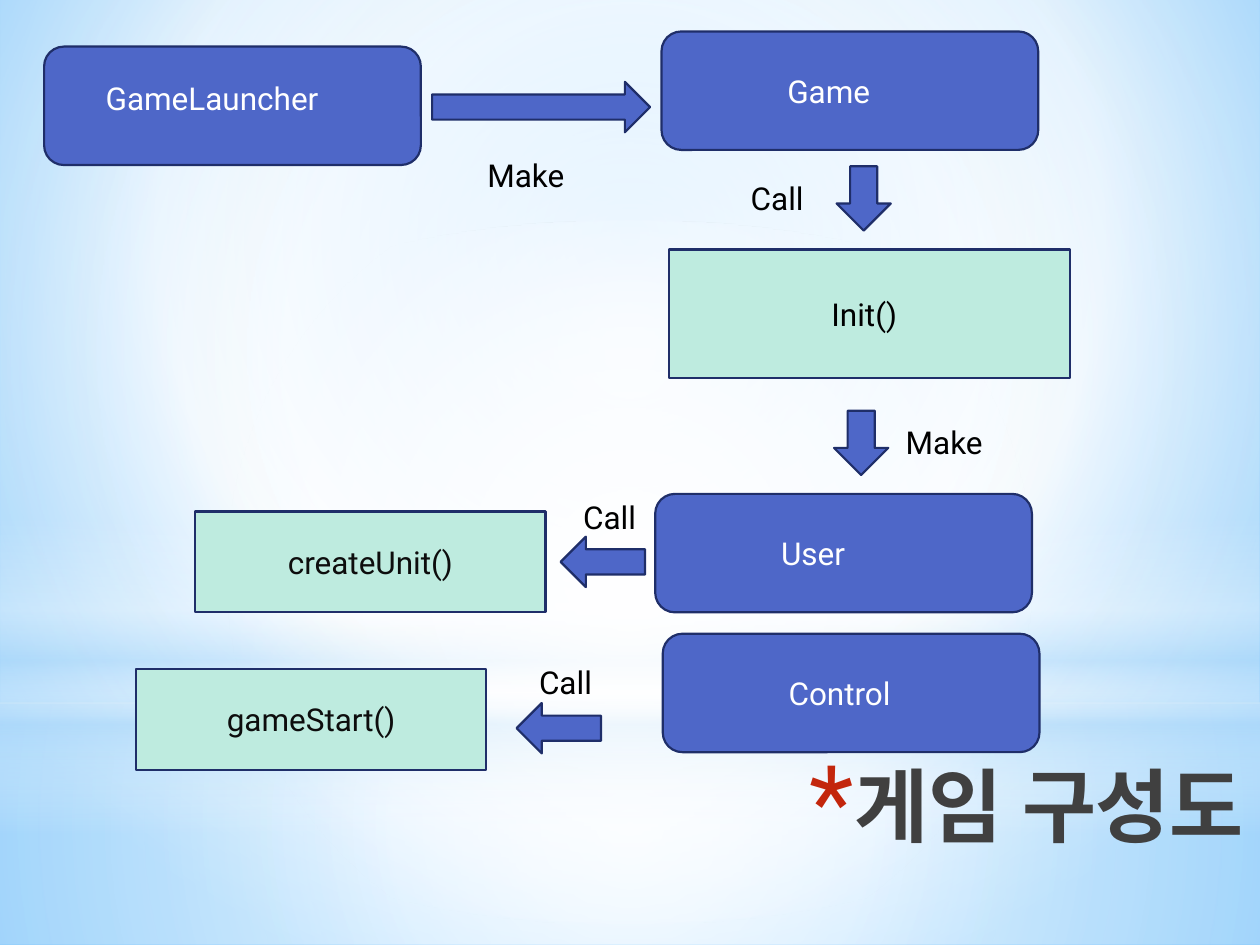
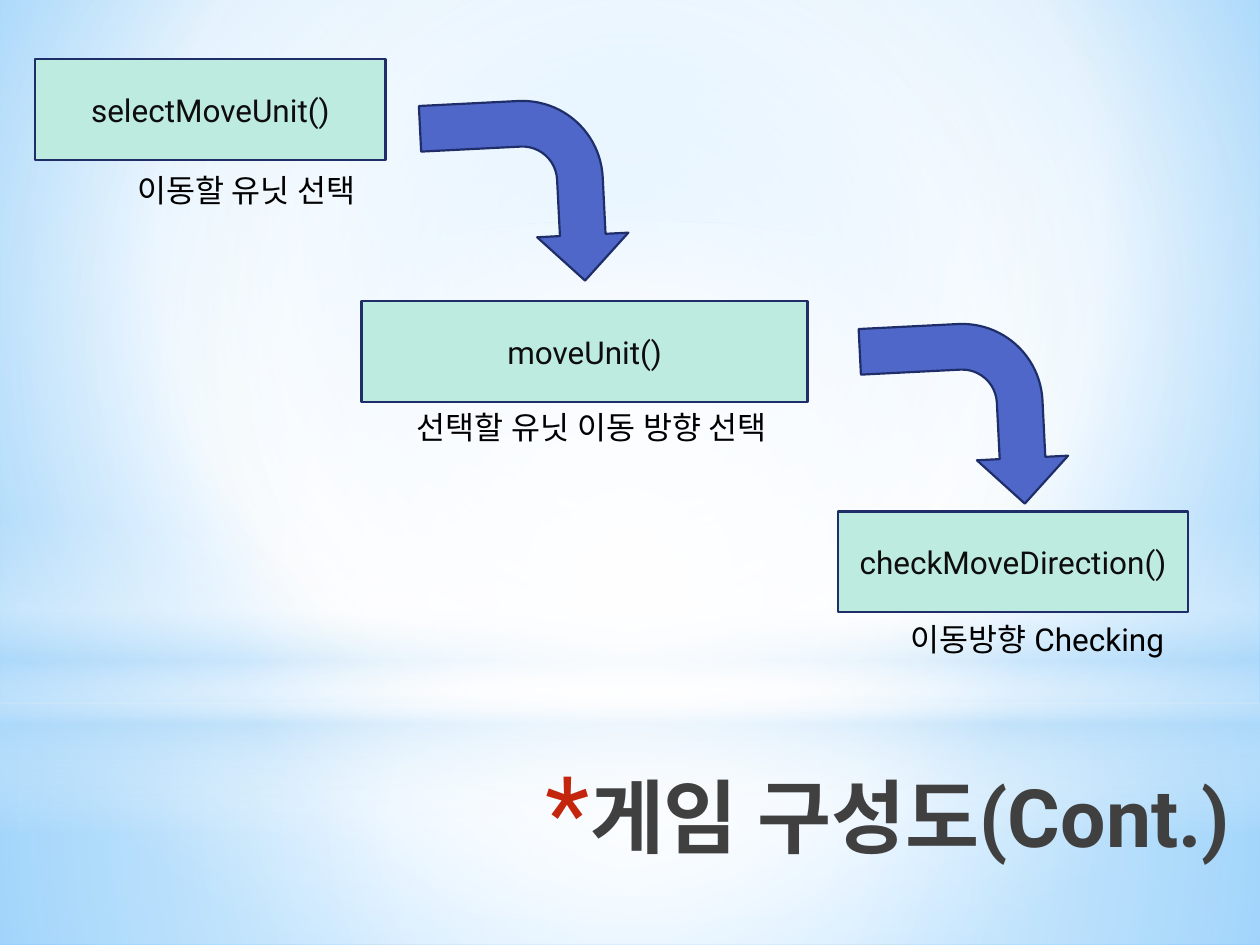
import pptx
import pptx.util
import pptx.oxml
import pptx.oxml.ns
import pptx.dml.color
import pptx.enum.shapes
import pptx.enum.text
import lxml.etree

Kind = pptx.enum.shapes.MSO_SHAPE
Align = pptx.enum.text.PP_ALIGN
Mid = pptx.enum.text.MSO_ANCHOR.MIDDLE
Pt = pptx.util.Pt
qn = pptx.oxml.ns.qn
rgb = pptx.dml.color.RGBColor.from_string

hues = {
    "blue": "4E67C8", "navy": "1F2E69", "mint": "BEEBDF", "white": "FFFFFF",
    "black": "000000", "ink": "0D0D0D", "title": "404040", "star": "C3260C",
    "sky": "B4DCFA", "pale": "9ED5FF", "deep": "5BB9FF",
}
body = {"name": "Roboto", "size": Pt(18), "bold": False}
head = {"name": "Roboto", "size": Pt(46), "bold": True}

deck = pptx.Presentation()
deck.slide_width = pptx.util.Inches(10)
deck.slide_height = pptx.util.Inches(7.5)
col = deck.slide_width / 100
row = deck.slide_height / 75


def put(page, kind, x, y, w, h, fill=None, text=None, ink="black",
        align=Align.LEFT, style=body, edge="navy", wrap=True):
    box = [round(x * col), round(y * row), round(w * col), round(h * row)]
    if kind is None:
        item = page.shapes.add_textbox(*box)
    else:
        item = page.shapes.add_shape(kind, *box)
        item.shadow.inherit = False
        item.fill.solid()
        item.fill.fore_color.rgb = rgb(hues[fill])
        if edge:
            item.line.color.rgb = rgb(hues[edge])
            item.line.width = Pt(1.25)
        else:
            item.line.fill.background()
    if text:
        frame = item.text_frame
        frame.word_wrap = wrap
        if kind is not None:
            frame.vertical_anchor = Mid
        para = frame.paragraphs[0]
        para.alignment = align
        run = para.add_run()
        run.text = text
        for key, val in style.items():
            setattr(run.font, key, val)
        run.font.color.rgb = rgb(hues[ink])
        east = lxml.etree.SubElement(run.font._element, qn("a:ea"))
        east.set("typeface", style["name"])
    return item


def blend(owner, stops, focus=None):
    grad = pptx.oxml.parse_xml(f"<a:gradFill {pptx.oxml.ns.nsdecls('a')} rotWithShape='1'/>")
    group = lxml.etree.SubElement(grad, qn("a:gsLst"))
    for place, hue, alpha in stops:
        stop = lxml.etree.SubElement(group, qn("a:gs"), pos=str(place * 1000))
        tint = lxml.etree.SubElement(stop, qn("a:srgbClr"), val=hues[hue])
        if alpha < 100:
            lxml.etree.SubElement(tint, qn("a:alpha"), val=str(alpha * 1000))
    if focus:
        ring = lxml.etree.SubElement(grad, qn("a:path"))
        ring.set("path", "circle")
        rect = lxml.etree.SubElement(ring, qn("a:fillToRect"))
        for side, share in zip("ltrb", focus):
            rect.set(side, str(share * 1000))
    else:
        lxml.etree.SubElement(grad, qn("a:lin"), ang="5400000", scaled="0")
    owner.replace(owner.find(qn("a:solidFill")), grad)


blank = deck.slide_layouts[6]
main = deck.slides.add_slide(blank)
cont = deck.slides.add_slide(blank)

blank.background.fill.solid()
blend(next(blank.element.iter(qn("p:bgPr"))),
      [(0, "pale", 100), (60, "white", 100), (100, "deep", 100)], (20, 10, 20, 60))

core = (50, 50, 50, 50)
bands = [
    (Kind.RECTANGLE, 55.8, 19.2, core,
     [(0, "white", 91), (37, "white", 76), (100, "sky", 79)]),
    (Kind.RECTANGLE, 0, 55.8, core,
     [(0, "white", 89), (48, "white", 62), (100, "sky", 79)]),
    (Kind.RECTANGLE, 41.2, 25, None,
     [(0, "white", 0), (29, "white", 30), (45, "sky", 40),
      (55, "white", 26), (65, "sky", 60), (100, "white", 0)]),
    (Kind.OVAL, 17.5, 55.8, core, [(0, "white", 100), (56, "white", 0)]),
]
for kind, y, h, focus, stops in bands:
    band = put(main, kind, 0, y, 100, h, "white", edge=None)
    blend(band.element.spPr, stops, focus)
    blank.shapes.element.append(band.element)

for page, x, y, text in [(main, 28.5, 59.5, "게임 구성도"),
                         (cont, 27.4, 60.4, "게임 구성도(Cont.)")]:
    title = put(page, None, x, y, 71.2, 12.5, text=text, ink="title",
                align=Align.RIGHT, style=head)
    prop = title.text_frame.paragraphs[0]._p.get_or_add_pPr()
    prop.set("marL", str(round(3.5 * col)))
    prop.set("indent", str(round(-3.5 * col)))
    tint = lxml.etree.SubElement(prop, qn("a:buClr"))
    lxml.etree.SubElement(tint, qn("a:srgbClr"), val=hues["star"])
    lxml.etree.SubElement(prop, qn("a:buSzPct"), val="128000")
    lxml.etree.SubElement(prop, qn("a:buFont"), typeface="Roboto")
    lxml.etree.SubElement(prop, qn("a:buChar"), char="*")

cards = [
    (3.5, 3.7, "GameLauncher", 3.9, 2.1, 22.3),
    (52.5, 2.5, "Game", 9, 2.7, 15.2),
    (52, 39.2, "User", 9, 2.7, 15.2),
    (52.6, 50.3, "Control", 9, 2.7, 15.2),
]
for x, y, text, dx, dy, w in cards:
    put(main, Kind.ROUNDED_RECTANGLE, x, y, 29.9, 9.4, "blue")
    put(main, None, x + dx, y + dy, w, 4, text=text, ink="white")

put(main, Kind.RECTANGLE, 53.1, 19.8, 31.8, 10.2, "mint")
put(main, None, 65, 22.9, 11.8, 4, text="Init()")

arrows = [
    (Kind.RIGHT_ARROW, 34.3, 6.5, 17.3, 4, "Make", 37.7, 11.9),
    (Kind.DOWN_ARROW, 66.4, 13.2, 4.3, 5.1, "Call", 58.6, 13.7),
    (Kind.DOWN_ARROW, 66.2, 32.6, 4.3, 5.1, "Make", 70.9, 33.1),
    (Kind.LEFT_ARROW, 44.5, 42.6, 6.7, 4, "Call", 45.3, 39),
    (Kind.LEFT_ARROW, 41, 55.8, 6.7, 4, "Call", 41.8, 52.1),
]
for kind, x, y, w, h, text, tx, ty in arrows:
    put(main, kind, x, y, w, h, "blue")
    put(main, None, tx, ty, 10.4, 4, text=text)

steps = [
    (main, 15.5, 40.6, 27.8, "createUnit()"),
    (main, 10.8, 53.1, 27.8, "gameStart()"),
    (cont, 28.7, 23.9, 35.4, "moveUnit()"),
    (cont, 66.5, 40.6, 27.8, "checkMoveDirection()"),
    (cont, 2.8, 4.7, 27.8, "selectMoveUnit()"),
]
for page, x, y, w, text in steps:
    put(page, Kind.RECTANGLE, x, y, w, 8, "mint", text, "ink", Align.CENTER)

notes = [
    (32.1, 31.9, 32.8, "선택할 유닛 이동 방향 선택"),
    (71.3, 48.7, 23, "이동방향 Checking"),
    (9.9, 13.1, 21.2, "이동할 유닛 선택"),
]
for x, y, w, text in notes:
    put(cont, None, x, y, w, 4, text=text, wrap=False)

for x, y in [(34.4, 7.2), (69.3, 24.9)]:
    bend = put(cont, Kind.BENT_ARROW, x, y, 14.5, 16.1, "blue")
    bend.rotation = 87.1
    for spot, share in enumerate([0.25, 0.25, 0.25, 0.44]):
        bend.adjustments[spot] = share

deck.save("out.pptx")
